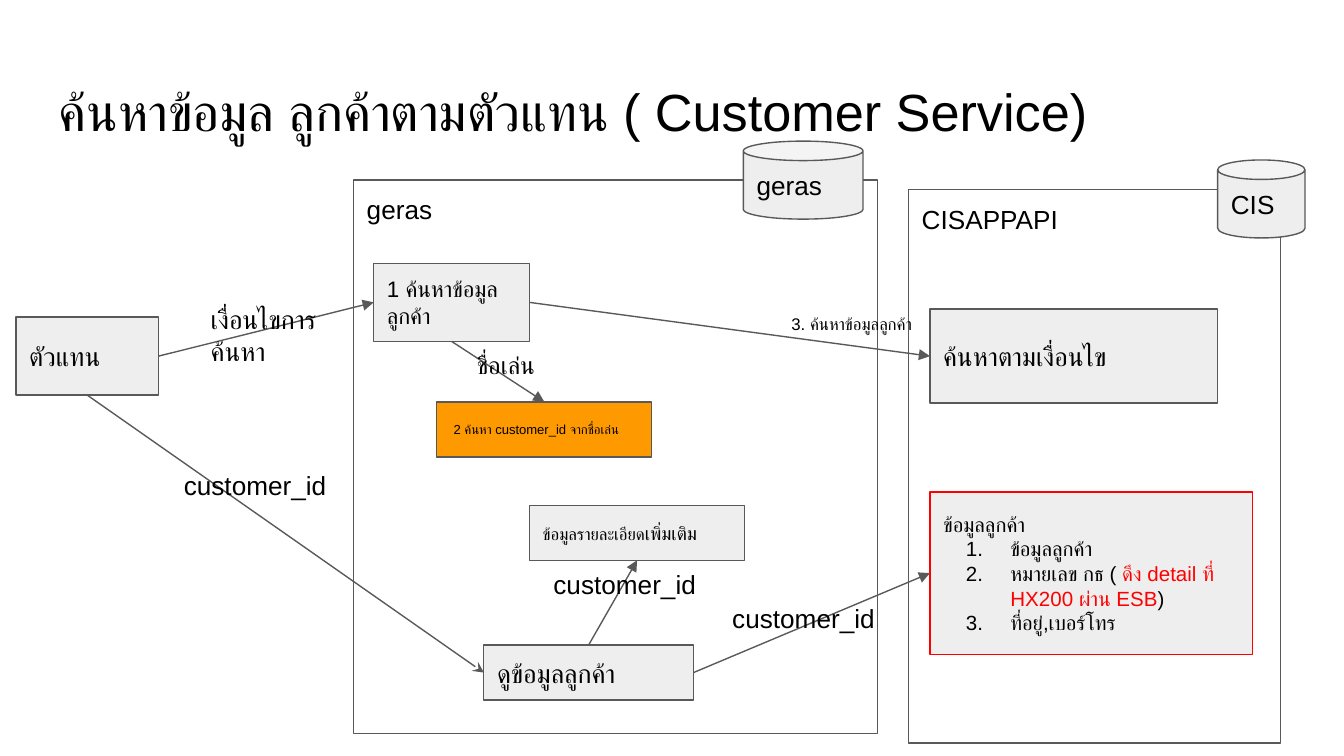
from dataclasses import dataclass
from typing import Optional

from lxml.etree import SubElement
from pptx import Presentation
from pptx.dml.color import RGBColor
from pptx.enum.shapes import MSO_CONNECTOR, MSO_SHAPE
from pptx.enum.text import MSO_ANCHOR, PP_ALIGN
from pptx.oxml import parse_xml
from pptx.oxml.ns import nsdecls, qn
from pptx.util import Pt

FONT = "Arial"
INK, GRAY, PALE = "000000", "595959", "EEEEEE"
ORANGE, RED = "FF9900", "FF0000"
INSET = Pt(7.2)
TOP, LEFT, BOTTOM, RIGHT = range(4)  # connection sites of a rectangle


@dataclass(frozen=True)
class Span:
    text: str
    color: Optional[str] = None
    size: Optional[float] = None


@dataclass(frozen=True)
class Line:
    spans: tuple[Span, ...]
    numbered: bool = False


@dataclass(frozen=True)
class Block:
    at: tuple[float, float, float, float]
    lines: tuple[Line, ...]
    size: float = 14
    fill: Optional[str] = PALE
    outline: str = GRAY
    preset: MSO_SHAPE = MSO_SHAPE.RECTANGLE
    anchor: MSO_ANCHOR = MSO_ANCHOR.MIDDLE


@dataclass(frozen=True)
class Flow:
    source: str
    source_site: int
    target: str
    target_site: int
    head: str = "triangle"


def rgb(color: str) -> RGBColor:
    return RGBColor.from_string(color)


def plain(text: str) -> tuple[Line, ...]:
    return (Line((Span(text),)),)


def number_paragraph(paragraph) -> None:
    properties = paragraph._p.get_or_add_pPr()
    properties.set("marL", str(Pt(36)))
    properties.set("indent", str(Pt(-23.76)))
    ink = f'<a:buClr {nsdecls("a")}><a:srgbClr val="{INK}"/></a:buClr>'
    numbering = f'<a:buAutoNum {nsdecls("a")} type="arabicPeriod"/>'
    for position, xml in enumerate((ink, numbering)):
        properties.insert(position, parse_xml(xml))


def write(frame, lines: tuple[Line, ...], size: float, anchor: MSO_ANCHOR) -> None:
    frame.word_wrap = True
    frame.vertical_anchor = anchor
    frame.margin_left = frame.margin_right = INSET
    frame.margin_top = frame.margin_bottom = INSET
    for index, line in enumerate(lines):
        paragraph = frame.add_paragraph() if index else frame.paragraphs[0]
        paragraph.alignment = PP_ALIGN.LEFT
        paragraph.font.size = Pt(size)
        paragraph.font.name = FONT
        paragraph.font.color.rgb = rgb(INK)
        # Thai uses the complex-script typeface
        defaults = paragraph._p.pPr.find(qn("a:defRPr"))
        SubElement(defaults, qn("a:cs")).set("typeface", FONT)
        if line.numbered:
            number_paragraph(paragraph)
        for span in line.spans:
            run = paragraph.add_run()
            run.text = span.text
            if span.color:
                run.font.color.rgb = rgb(span.color)
            if span.size:
                run.font.size = Pt(span.size)


def draw_block(slide, block: Block):
    shape = slide.shapes.add_shape(block.preset, *map(Pt, block.at))
    shape.shadow.inherit = False
    if block.fill:
        shape.fill.solid()
        shape.fill.fore_color.rgb = rgb(block.fill)
    else:
        shape.fill.background()
    shape.line.color.rgb = rgb(block.outline)
    shape.line.width = Pt(0.75)
    write(shape.text_frame, block.lines, block.size, block.anchor)
    return shape


def draw_flow(slide, flow: Flow, steps: dict) -> None:
    arrow = slide.shapes.add_connector(MSO_CONNECTOR.STRAIGHT, 0, 0, 0, 0)
    arrow.begin_connect(steps[flow.source], flow.source_site)
    arrow.end_connect(steps[flow.target], flow.target_site)
    arrow.line.color.rgb = rgb(GRAY)
    arrow.line.width = Pt(0.75)
    SubElement(arrow.line._get_or_add_ln(), qn("a:tailEnd")).set("type", flow.head)
    SubElement(arrow._element.spPr, qn("a:effectLst"))


def draw_label(slide, text: str, size: float, at: tuple[float, float, float, float]) -> None:
    box = slide.shapes.add_textbox(*map(Pt, at))
    write(box.text_frame, plain(text), size, MSO_ANCHOR.TOP)


SYSTEMS = (
    Block((486.7, 101.5, 199.4, 296.6), plain("CISAPPAPI"), fill=None, anchor=MSO_ANCHOR.TOP),
    Block((189.4, 96.5, 280.8, 296.6), plain("geras"), fill=None, anchor=MSO_ANCHOR.TOP),
)
DATABASES = (
    Block((398.2, 75.6, 64.1, 41.8), plain("geras"), preset=MSO_SHAPE.CAN),
    Block((652.3, 85.7, 46.8, 41.8), plain("CIS"), preset=MSO_SHAPE.CAN),
)
CUSTOMER_LINES = (
    Line((Span("ข้อมูลลูกค้า"),)),
    Line((Span("ข้อมูลลูกค้า"),), numbered=True),
    Line((Span("หมายเลข กธ ( "), Span("ดึง detail ที่ HX200 ผ่าน ESB", RED), Span(")")),
         numbered=True),
    Line((Span("ที่อยู่,เบอร์โทร"),), numbered=True),
)
STEPS = {
    "agent": Block((8.6, 169.9, 76.3, 41.8), plain("ตัวแทน")),
    "search": Block((200.2, 141.1, 83.5, 41.8), plain("1 ค้นหาข้อมูลลูกค้า"), 12),
    "criteria": Block((498.2, 165.6, 154.1, 50.4), plain("ค้นหาตามเงื่อนไข")),
    "nickname": Block((234, 215.3, 115.2, 29.5),
                      plain(" 2 ค้นหา customer_id จากชื่อเล่น"), 7, ORANGE),
    "extra": Block((283.7, 270.7, 115.2, 29.5),
                   (Line((Span("ข้อมูลรายละเอียด"), Span("เพิ่มเติม", size=10))),), 9),
    "view": Block((259.2, 345.6, 112.3, 29.5), plain("ดูข้อมูลลูกค้า")),
    "customer": Block((498.2, 263.5, 172.8, 87.1), CUSTOMER_LINES, 11, outline=RED),
}
FLOWS = (
    Flow("agent", RIGHT, "search", LEFT),
    Flow("agent", BOTTOM, "view", LEFT, "stealth"),
    Flow("search", BOTTOM, "nickname", TOP),
    Flow("search", RIGHT, "criteria", LEFT),
    Flow("view", TOP, "extra", BOTTOM),
    Flow("view", RIGHT, "customer", LEFT),
)
LABELS = (
    ("ค้นหาข้อมูล ลูกค้าตามตัวแทน ( Customer Service)", 28, (24.5, 35.3, 671, 45.4)),
    ("เงื่อนไขการค้นหา", 14, (105.8, 155.5, 83.5, 38)),
    ("3. ค้นหาข้อมูลลูกค้า", 9, (416.9, 162.7, 83.5, 54)),
    ("ชื่อเล่น", 13, (248.4, 180.7, 50.4, 28.8)),
    ("customer_id", 14, (91.4, 244.1, 112.3, 54)),
    ("customer_id", 14, (289.4, 297.4, 112.3, 27.4)),
    ("customer_id", 14, (385.2, 315.4, 139.7, 29.5)),
)

deck = Presentation()
deck.slide_width, deck.slide_height = Pt(720), Pt(405)
service_flow = deck.slides.add_slide(deck.slide_layouts[6])

# Systems and their databases
for part in SYSTEMS + DATABASES:
    draw_block(service_flow, part)

# Steps and the flows between them
placed_steps = {name: draw_block(service_flow, step) for name, step in STEPS.items()}
for link in FLOWS:
    draw_flow(service_flow, link, placed_steps)

# Title and flow labels
for wording, points, place in LABELS:
    draw_label(service_flow, wording, points, place)

deck.save("out.pptx")
